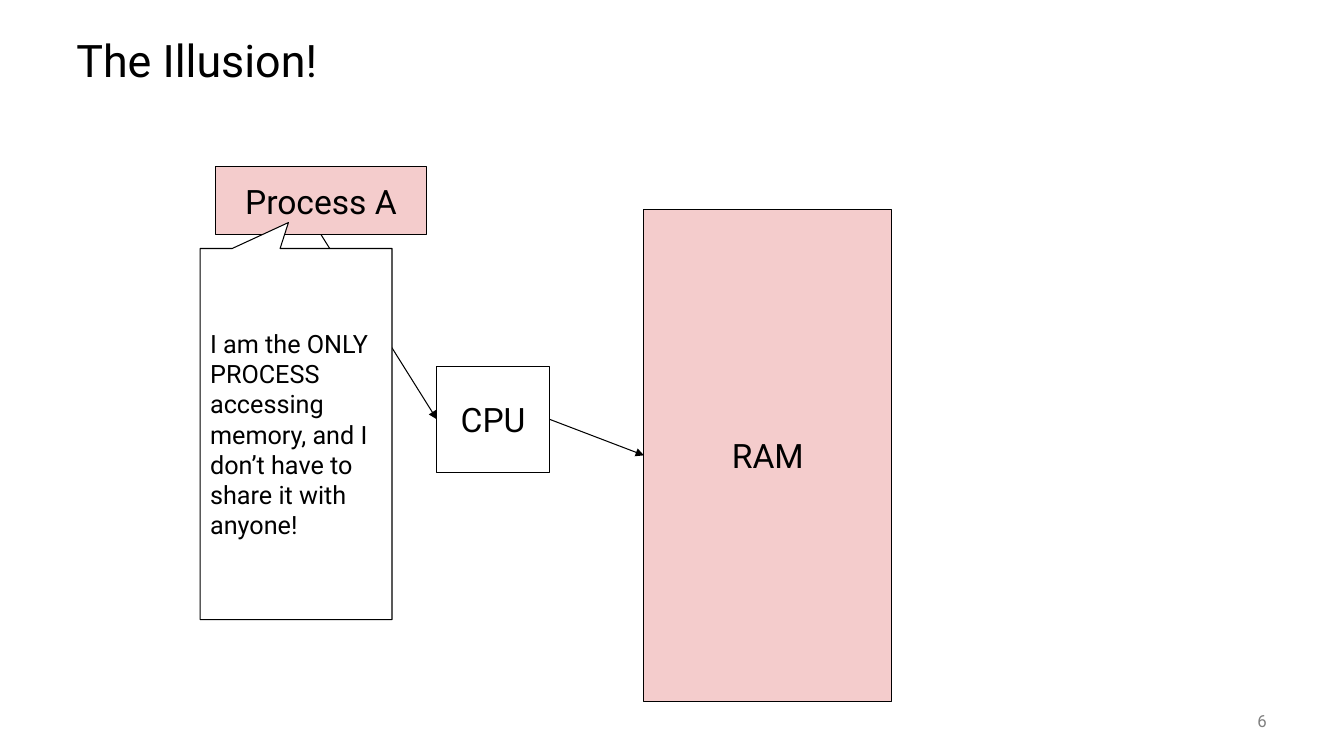
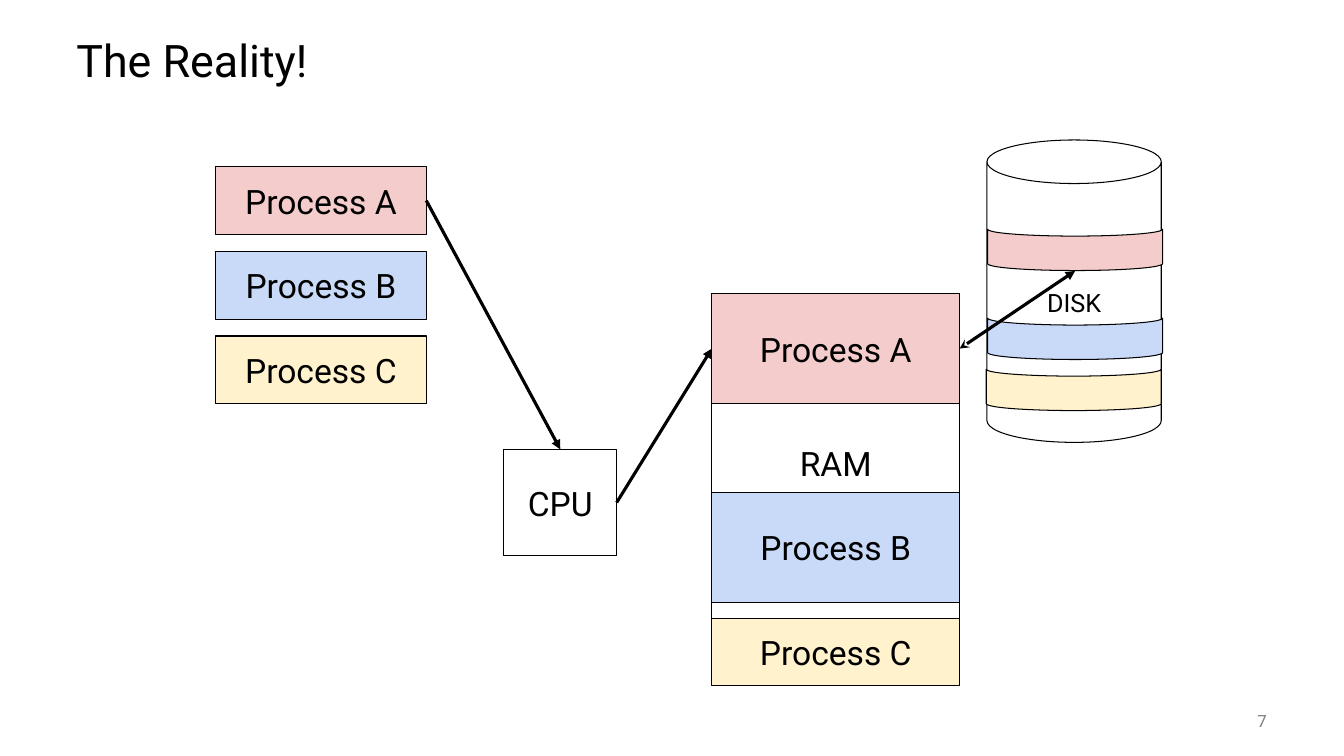
import pptx
import pptx.dml.color
import pptx.enum.shapes
import pptx.enum.text
import pptx.oxml.ns
import pptx.util
import lxml.etree

Pt = pptx.util.Pt
Preset = pptx.enum.shapes.MSO_SHAPE
Align = pptx.enum.text.PP_ALIGN
Anchor = pptx.enum.text.MSO_ANCHOR
qn = pptx.oxml.ns.qn

COLORS = {
    "ink": "000000",
    "paper": "FFFFFF",
    "muted": "808080",
    "A": "F4CCCC",
    "B": "C9DAF8",
    "C": "FFF2CC",
}
TOP, LEFT, BOTTOM, RIGHT = range(4)
CPU_SIZE = (80.5, 76)
PROCESS_SIZE = (150.5, 48.5)
PROCESS_LEFT, PROCESS_TOP, PROCESS_PITCH = 154, 119, 60.5
RAM_WIDTH = 177


def color(name):
    return pptx.dml.color.RGBColor.from_string(COLORS[name])


class Deck:
    font = "Roboto"
    inset = 7.2

    def __init__(self):
        self.presentation = pptx.Presentation()
        self.presentation.slide_width = Pt(960)
        self.presentation.slide_height = Pt(540)
        self.slide = None

    def add_slide(self, title, number):
        layout = self.presentation.slide_layouts[6]
        self.slide = self.presentation.slides.add_slide(layout)
        heading = self.text_box((47.5, 18, 864, 54), title, 32)
        heading.text_frame.paragraphs[0].line_spacing = 0.9
        self.text_box((840, 500.5, 72, 29), str(number), 12, Align.RIGHT, "muted")

    def set_text(self, shape, text, size, align, ink="ink"):
        frame = shape.text_frame
        frame.text = text
        frame.word_wrap = True
        frame.vertical_anchor = Anchor.MIDDLE
        frame.margin_left = frame.margin_right = Pt(self.inset)
        frame.margin_top = frame.margin_bottom = Pt(self.inset)
        paragraph = frame.paragraphs[0]
        paragraph.alignment = align
        for run in paragraph.runs:
            run.font.name = self.font
            run.font.size = Pt(size)
            run.font.color.rgb = color(ink)

    def text_box(self, box, text, size, align=Align.LEFT, ink="ink"):
        shape = self.slide.shapes.add_textbox(*map(Pt, box))
        self.set_text(shape, text, size, align, ink)
        return shape

    def block(self, box, text="", fill="paper", preset=Preset.RECTANGLE,
              size=24, align=Align.CENTER, adjustments=()):
        shape = self.slide.shapes.add_shape(preset, *map(Pt, box))
        shape.shadow.inherit = False
        shape.fill.solid()
        shape.fill.fore_color.rgb = color(fill)
        shape.line.color.rgb = color("ink")
        shape.line.width = Pt(0.75)
        for index, value in enumerate(adjustments):
            shape.adjustments[index] = value
        if text:
            self.set_text(shape, text, size, align)
        return shape

    def process(self, name):
        top = PROCESS_TOP + "ABC".index(name) * PROCESS_PITCH
        return self.block((PROCESS_LEFT, top, *PROCESS_SIZE), f"Process {name}", name)

    def disk_band(self, name, center_x, center_y, length=125, thickness=29.5):
        box = (center_x - thickness / 2, center_y - length / 2, thickness, length)
        band = self.block(box, fill=name, preset=Preset.FLOWCHART_STORED_DATA)
        band.rotation = 270

    def arrow(self, source, source_side, target, target_side=None, width=0.75, head=None):
        connector = self.slide.shapes.add_connector(
            pptx.enum.shapes.MSO_CONNECTOR.STRAIGHT, 0, 0, 0, 0)
        connector.begin_connect(source, source_side)
        if target_side is None:
            connector.end_x, connector.end_y = map(Pt, target)
        else:
            connector.end_connect(target, target_side)
        connector.line.color.rgb = color("ink")
        connector.line.width = Pt(width)
        line = connector.line._get_or_add_ln()
        if head:
            lxml.etree.SubElement(line, qn("a:headEnd"), type=head)
        lxml.etree.SubElement(line, qn("a:tailEnd"), type="triangle")
        lxml.etree.SubElement(connector._element.spPr, qn("a:effectLst"))


def build_illusion(deck):
    deck.add_slide("The Illusion!", 6)
    cpu = deck.block((312, 261.5, *CPU_SIZE), "CPU")
    ram = deck.block((460, 149.5, RAM_WIDTH, 351.5), "RAM", "A")
    process = deck.process("A")
    deck.arrow(process, BOTTOM, cpu, LEFT)
    deck.arrow(cpu, RIGHT, ram, LEFT)
    deck.block((143, 177.5, 137, 265),
               "I am the ONLY PROCESS accessing memory, and I don’t have to share it with anyone!",
               preset=Preset.RECTANGULAR_CALLOUT, size=18, align=Align.LEFT,
               adjustments=(-0.04, -0.57))


def build_reality(deck):
    deck.add_slide("The Reality!", 7)
    ram_left = 508.5
    cpu = deck.block((360, 321, *CPU_SIZE), "CPU")
    deck.block((ram_left, 209.5, RAM_WIDTH, 242), "RAM")
    processes = {name: deck.process(name) for name in "ABC"}
    regions = {
        name: deck.block((ram_left, top, RAM_WIDTH, height), f"Process {name}", name)
        for name, top, height in (("A", 209.5, 79), ("B", 351.5, 79), ("C", 441.5, 48.5))
    }
    deck.arrow(processes["A"], RIGHT, cpu, TOP, 2.25)
    deck.arrow(cpu, RIGHT, regions["A"], LEFT, 2.25)

    deck.block((705, 100, 124.5, 216), "DISK", preset=Preset.CAN, size=18,
               adjustments=(0.25,))
    for name, center_x, center_y in (("A", 768, 178.5), ("C", 767, 278.5), ("B", 768, 242)):
        deck.disk_band(name, center_x, center_y)
    deck.arrow(regions["A"], RIGHT, (768, 193.5), width=2.25, head="stealth")


def main():
    deck = Deck()
    build_illusion(deck)
    build_reality(deck)
    deck.presentation.save("out.pptx")


if __name__ == "__main__":
    main()
